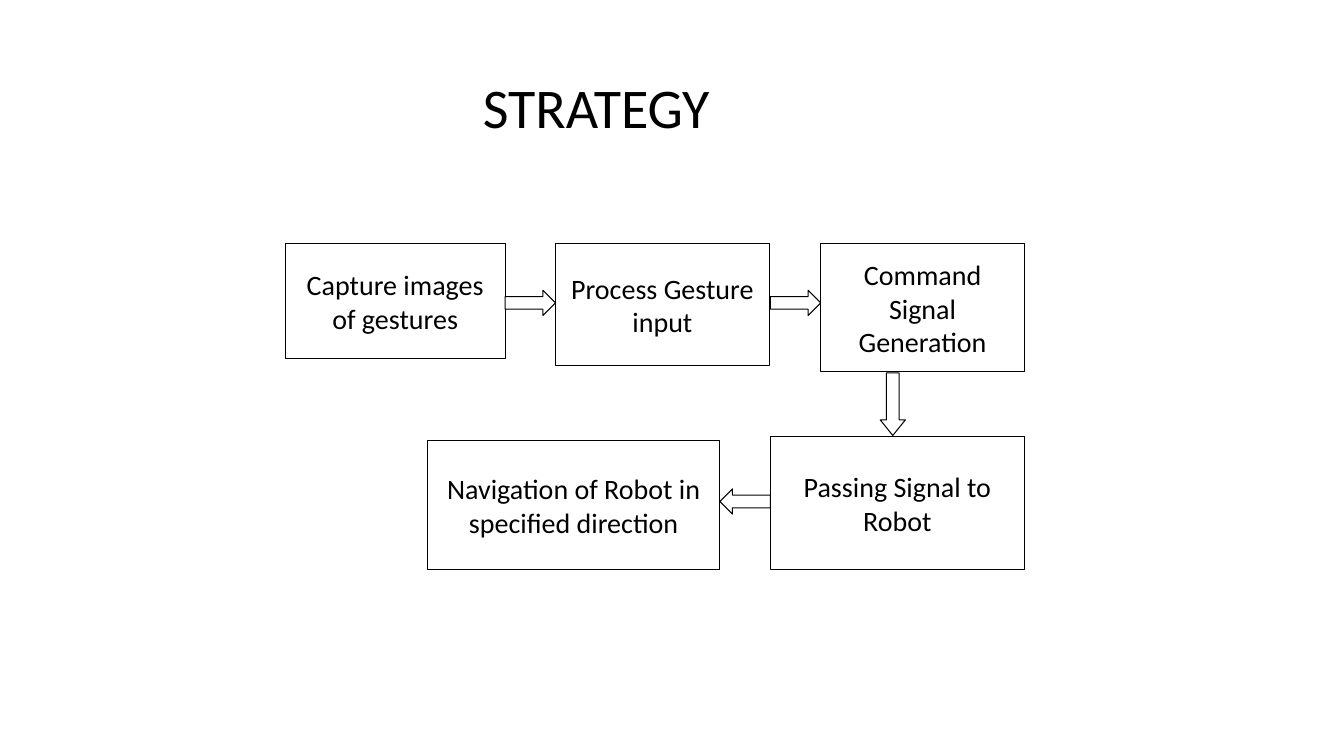
from pptx import Presentation
from pptx.dml.color import RGBColor
from pptx.enum import shapes, text
from pptx.util import Inches, Pt

BLACK = RGBColor(0x00, 0x00, 0x00)
WHITE = RGBColor(0xFF, 0xFF, 0xFF)
KIND = shapes.MSO_SHAPE

deck = Presentation()
deck.slide_width, deck.slide_height = Inches(13.33), Inches(7.5)
slide = deck.slides.add_slide(deck.slide_layouts[6])


def add_outlined(kind, *bounds):
    outlined = slide.shapes.add_shape(kind, *map(Inches, bounds))
    outlined.shadow.inherit = False
    outlined.fill.solid()
    outlined.fill.fore_color.rgb = WHITE
    outlined.line.color.rgb = BLACK
    outlined.line.width = Pt(0.75)
    return outlined


def write(frame, wording, size):
    frame.word_wrap = True
    paragraph = frame.paragraphs[0]
    paragraph.text = wording
    font_format = {"name": "Calibri", "size": Pt(size)}
    for attribute, value in font_format.items():
        setattr(paragraph.font, attribute, value)
    paragraph.font.color.rgb = BLACK
    return paragraph


steps = [
    ("Capture images of gestures", 2.83, 2.42, 2.18, 1.14),
    ("Process Gesture input", 5.51, 2.42, 2.12, 1.21),
    ("Command Signal Generation", 8.14, 2.42, 2.02, 1.27),
    ("Passing Signal to Robot", 7.64, 4.33, 2.52, 1.32),
    ("Navigation of Robot in specified direction", 4.24, 4.37, 2.9, 1.28),
]
for wording, *bounds in steps:
    step = add_outlined(KIND.RECTANGLE, *bounds)
    step.text_frame.vertical_anchor = text.MSO_ANCHOR.MIDDLE
    label = write(step.text_frame, wording, 20)
    paragraph_format = {"alignment": text.PP_ALIGN.CENTER, "space_after": Pt(10)}
    for attribute, value in paragraph_format.items():
        setattr(label, attribute, value)

flow = [
    (KIND.RIGHT_ARROW, 5.01, 2.88, 0.5, 0.25, 0.5),
    (KIND.RIGHT_ARROW, 7.64, 2.88, 0.5, 0.25, 0.5),
    (KIND.DOWN_ARROW, 8.73, 3.7, 0.25, 0.62, 0.62),
    (KIND.LEFT_ARROW, 7.14, 4.85, 0.5, 0.25, 0.5),
]
for direction, *bounds, head_length in flow:
    flow_arrow = add_outlined(direction, *bounds)
    flow_arrow.adjustments[1] = head_length

heading = slide.shapes.add_textbox(*map(Inches, (4.69, 0.67, 6.39, 0.77)))
heading.text_frame.auto_size = text.MSO_AUTO_SIZE.SHAPE_TO_FIT_TEXT
write(heading.text_frame, "STRATEGY", 40)

deck.save("out.pptx")
